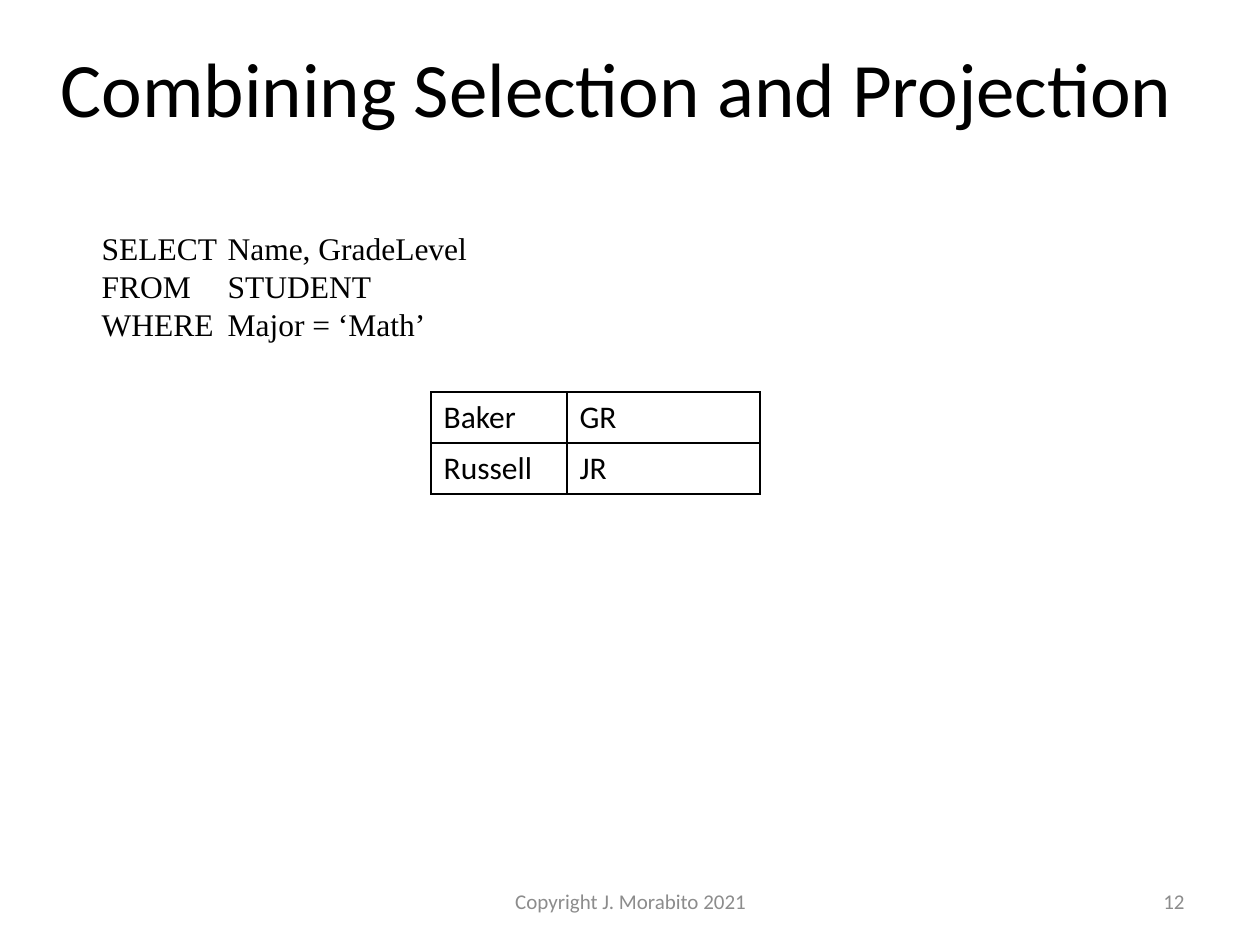
from dataclasses import dataclass

from lxml.etree import SubElement
from pptx import Presentation
from pptx.dml.color import RGBColor
from pptx.enum.text import MSO_ANCHOR, MSO_AUTO_SIZE, PP_ALIGN
from pptx.oxml.ns import qn
from pptx.slide import Slide
from pptx.table import _Cell
from pptx.text.text import _Paragraph
from pptx.util import Cm, Pt

BLACK = RGBColor(0x00, 0x00, 0x00)
GRAY = RGBColor(0x8C, 0x8C, 0x8C)
BODY_FONT = "Calibri"
QUERY_FONT = "Times New Roman"

QUERY = [
    ("SELECT", "Name, GradeLevel"),
    ("FROM", "STUDENT"),
    ("WHERE", "Major = ‘Math’"),
]
RESULT = [("Baker", "GR"), ("Russell", "JR")]
COLUMN_WIDTHS = [2.74, 3.89]
ROW_HEIGHT = 1.03


@dataclass
class FooterItem:
    text: str
    left: float
    width: float
    alignment: PP_ALIGN


FOOTER = [
    FooterItem("Copyright J. Morabito 2021", 8.69, 8.05, PP_ALIGN.CENTER),
    FooterItem("12", 18.21, 5.92, PP_ALIGN.RIGHT),
]


def add_text(paragraph: _Paragraph, text: str, size: float,
             font_name: str = BODY_FONT, color: RGBColor = BLACK) -> None:
    run = paragraph.add_run()
    run.text = text
    run.font.name = font_name
    run.font.size = Pt(size)
    run.font.color.rgb = color


def add_title(slide: Slide, text: str) -> None:
    title = slide.shapes.title
    title.left, title.top = Cm(0.97), Cm(0.3)
    title.width, title.height = Cm(23.39), Cm(2.9)
    title.text_frame.vertical_anchor = MSO_ANCHOR.MIDDLE
    paragraph = title.text_frame.paragraphs[0]
    paragraph.alignment = PP_ALIGN.LEFT
    add_text(paragraph, text, 44)


def add_query(slide: Slide) -> None:
    box = slide.shapes.add_textbox(Cm(1.8), Cm(4.5), Cm(8.1), Cm(2.57))
    frame = box.text_frame
    frame.word_wrap = False
    frame.auto_size = MSO_AUTO_SIZE.SHAPE_TO_FIT_TEXT
    for index, (keyword, clause) in enumerate(QUERY):
        paragraph = frame.add_paragraph() if index else frame.paragraphs[0]
        # Clauses line up one inch from the keywords
        tabs = SubElement(paragraph._p.get_or_add_pPr(), qn("a:tabLst"))
        SubElement(tabs, qn("a:tab"), pos=str(Cm(2.54)), algn="l")
        add_text(paragraph, f"{keyword}\t{clause}", 18, QUERY_FONT)


def add_borders(cell: _Cell) -> None:
    properties = cell._tc.get_or_add_tcPr()
    for side in ("lnL", "lnR", "lnT", "lnB"):
        line = SubElement(properties, qn(f"a:{side}"), w=str(Pt(1)))
        fill = SubElement(line, qn("a:solidFill"))
        SubElement(fill, qn("a:srgbClr"), val=str(BLACK))


def add_result_table(slide: Slide) -> None:
    table = slide.shapes.add_table(
        len(RESULT), len(COLUMN_WIDTHS), Cm(8.69), Cm(7.9),
        Cm(sum(COLUMN_WIDTHS)), Cm(ROW_HEIGHT * len(RESULT))).table
    table.first_row = False
    table.horz_banding = False
    for column, width in zip(table.columns, COLUMN_WIDTHS):
        column.width = Cm(width)
    for row, values in zip(table.rows, RESULT):
        row.height = Cm(ROW_HEIGHT)
        for cell, value in zip(row.cells, values):
            add_borders(cell)
            cell.fill.background()
            add_text(cell.text_frame.paragraphs[0], value, 18)


def add_footer_item(slide: Slide, item: FooterItem) -> None:
    box = slide.shapes.add_textbox(
        Cm(item.left), Cm(17.65), Cm(item.width), Cm(1.02))
    frame = box.text_frame
    frame.word_wrap = True
    frame.vertical_anchor = MSO_ANCHOR.MIDDLE
    paragraph = frame.paragraphs[0]
    paragraph.alignment = item.alignment
    add_text(paragraph, item.text, 12, color=GRAY)


def main() -> None:
    presentation = Presentation()
    presentation.slide_width = Cm(25.4)
    presentation.slide_height = Cm(19.05)
    # Title Only layout
    slide = presentation.slides.add_slide(presentation.slide_layouts[5])

    add_title(slide, "Combining Selection and Projection")
    add_query(slide)
    add_result_table(slide)
    for item in FOOTER:
        add_footer_item(slide, item)

    presentation.save("out.pptx")


if __name__ == "__main__":
    main()
